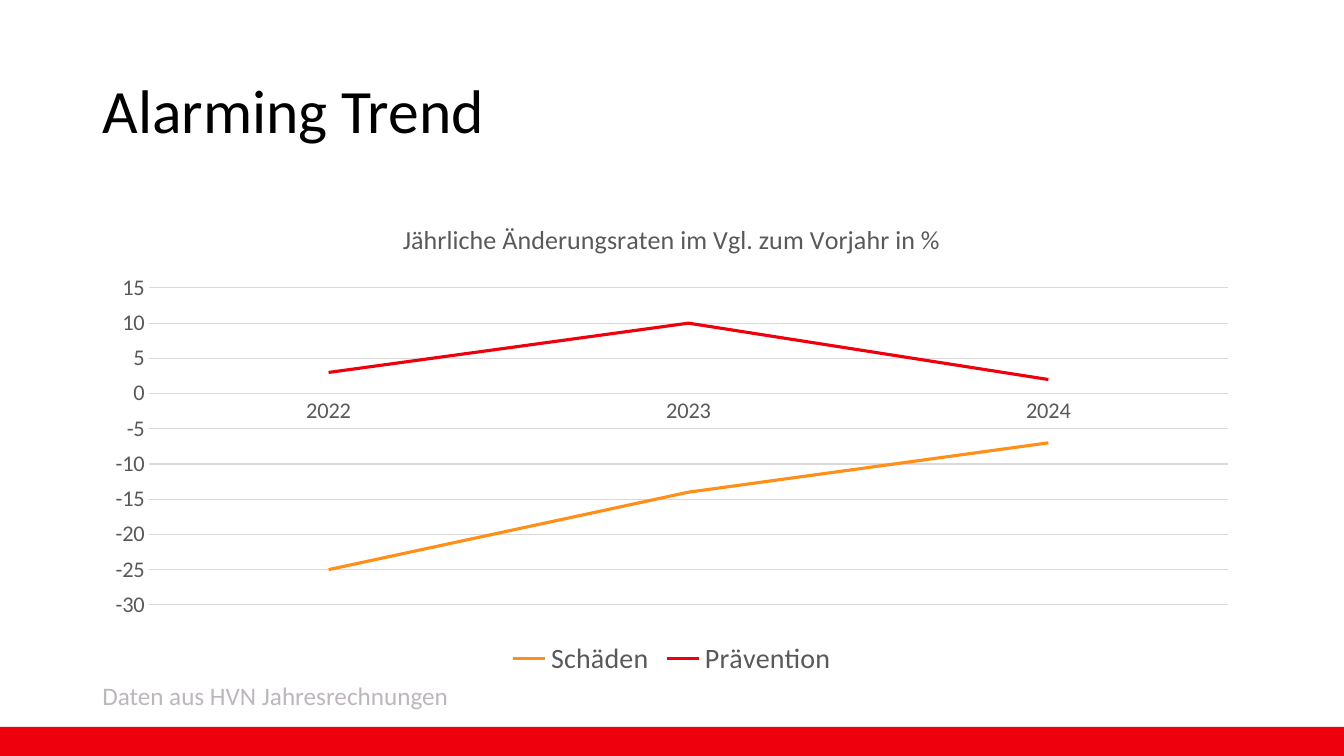
from dataclasses import dataclass

from pptx import Presentation
from pptx.chart.data import CategoryChartData
from pptx.dml.color import RGBColor
from pptx.enum.chart import XL_CHART_TYPE, XL_LEGEND_POSITION, XL_TICK_MARK
from pptx.enum.shapes import MSO_SHAPE
from pptx.enum.text import MSO_ANCHOR, MSO_AUTO_SIZE
from pptx.util import Pt

LINE_CHART = XL_CHART_TYPE.LINE
LEGEND_BOTTOM = XL_LEGEND_POSITION.BOTTOM
NO_TICKS = XL_TICK_MARK.NONE
RECTANGLE = MSO_SHAPE.RECTANGLE
MIDDLE = MSO_ANCHOR.MIDDLE
GROW = MSO_AUTO_SIZE.SHAPE_TO_FIT_TEXT

SLIDE_WIDTH, SLIDE_HEIGHT = 960, 540
MARGIN = 66
CONTENT_WIDTH = SLIDE_WIDTH - 2 * MARGIN
FOOTER_HEIGHT = 20.88


@dataclass(frozen=True)
class Theme:
    font: str = "Calibri"
    black: str = "000000"
    red: str = "EE000C"
    orange: str = "FF8F18"
    axis_text: str = "595959"
    grid: str = "D9D9D9"
    muted: str = "BDB7BD"
    title_size: float = 44
    chart_title_size: float = 18.6
    legend_size: float = 20
    axis_size: float = 16
    source_size: float = 18
    grid_width: float = 0.75
    series_width: float = 2.25


class SlideBuilder:
    def __init__(self, slide, theme):
        self.slide = slide
        self.theme = theme

    def style_font(self, font, size, color):
        font.name = self.theme.font
        font.size = Pt(size)
        font.bold = False
        font.color.rgb = RGBColor.from_string(color)

    def style_line(self, line, width, color):
        line.width = Pt(width)
        line.color.rgb = RGBColor.from_string(color)

    def title(self, text, left, top, width, height):
        heading = self.slide.shapes.title
        heading.left, heading.top = Pt(left), Pt(top)
        heading.width, heading.height = Pt(width), Pt(height)
        frame = heading.text_frame
        frame.text = text
        frame.vertical_anchor = MIDDLE
        paragraph = frame.paragraphs[0]
        paragraph.alignment = 1
        paragraph.line_spacing = 0.9
        self.style_font(paragraph.font, self.theme.title_size, self.theme.black)

    def source_note(self, text, left, top, width, height):
        note = self.slide.shapes.add_textbox(Pt(left), Pt(top), Pt(width), Pt(height))
        frame = note.text_frame
        frame.word_wrap = True
        frame.auto_size = GROW
        frame.text = text
        self.style_font(frame.paragraphs[0].font, self.theme.source_size, self.theme.muted)

    def bar(self, left, top, width, height, color):
        band = self.slide.shapes.add_shape(RECTANGLE, Pt(left), Pt(top), Pt(width), Pt(height))
        band.shadow.inherit = False
        band.fill.solid()
        band.fill.fore_color.rgb = RGBColor.from_string(color)
        band.line.fill.background()

    def line_chart(self, heading, years, series, left, top, width, height):
        theme = self.theme
        data = CategoryChartData()
        data.categories = years
        for name, rates, _ in series:
            data.add_series(name, rates)
        chart = self.slide.shapes.add_chart(
            LINE_CHART, Pt(left), Pt(top), Pt(width), Pt(height), data
        ).chart
        self.style_font(chart.font, theme.axis_size, theme.axis_text)

        chart.has_title = True
        chart.chart_title.include_in_layout = False
        title_frame = chart.chart_title.text_frame
        title_frame.text = heading
        self.style_font(title_frame.paragraphs[0].font, theme.chart_title_size, theme.axis_text)

        chart.has_legend = True
        chart.legend.position = LEGEND_BOTTOM
        chart.legend.include_in_layout = False
        self.style_font(chart.legend.font, theme.legend_size, theme.axis_text)

        for axis in (chart.category_axis, chart.value_axis):
            axis.major_tick_mark = NO_TICKS
            axis.minor_tick_mark = NO_TICKS
            self.style_font(axis.tick_labels.font, theme.axis_size, theme.axis_text)
        self.style_line(chart.category_axis.format.line, theme.grid_width, theme.grid)
        rate_axis = chart.value_axis
        rate_axis.minimum_scale = -30
        rate_axis.maximum_scale = 15
        rate_axis.major_unit = 5
        rate_axis.format.line.fill.background()
        self.style_line(rate_axis.major_gridlines.format.line, theme.grid_width, theme.grid)

        plot = chart.plots[0]
        plot.vary_by_categories = False
        for curve, (_, _, color) in zip(plot.series, series):
            curve.smooth = False
            self.style_line(curve.format.line, theme.series_width, color)


def main():
    theme = Theme()
    presentation = Presentation()
    presentation.slide_width = Pt(SLIDE_WIDTH)
    presentation.slide_height = Pt(SLIDE_HEIGHT)
    title_only = presentation.slide_layouts[5]
    builder = SlideBuilder(presentation.slides.add_slide(title_only), theme)

    builder.title("Alarming Trend", MARGIN, 28.8, CONTENT_WIDTH, 104.4)
    builder.line_chart(
        "Jährliche Änderungsraten im Vgl. zum Vorjahr in %",
        ["2022", "2023", "2024"],
        [
            ("Schäden", (-25, -14, -7), theme.orange),
            ("Prävention", (3, 10, 2), theme.red),
        ],
        MARGIN, 144, CONTENT_WIDTH, 342.72,
    )
    builder.source_note("Daten aus HVN Jahresrechnungen", MARGIN, 482.4, 740.88, 28.8)
    builder.bar(0, SLIDE_HEIGHT - FOOTER_HEIGHT, SLIDE_WIDTH, FOOTER_HEIGHT, theme.red)
    presentation.save("out.pptx")


if __name__ == "__main__":
    main()
